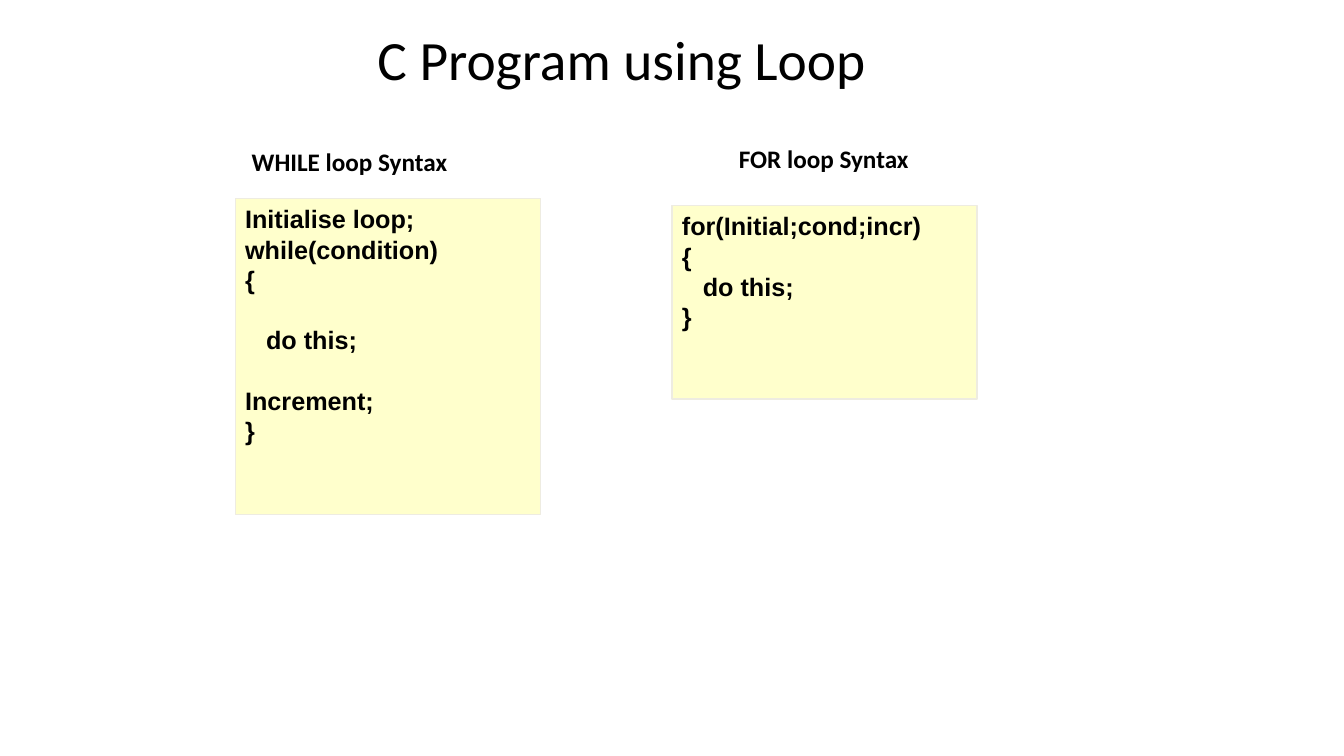
from pptx import Presentation
from pptx.dml.color import RGBColor
from pptx.enum.shapes import MSO_SHAPE
from pptx.enum.text import MSO_ANCHOR, PP_ALIGN
from pptx.util import Pt


def colour(hex_string):
    return RGBColor.from_string(hex_string)


class LoopSlide:
    """Style of the slide and one method for each kind of element."""
    INK, PANEL, EDGE = "000000", "FFFFCC", "EEECE1"
    HEADING_FONT, CODE_FONT = "Calibri", "Arial"
    TEXT_SIZE, TITLE_SIZE = 18, 39.6
    LINE_PITCH = 21.5

    def __init__(self, deck):
        self.slide = deck.slides.add_slide(deck.slide_layouts[5])

    def add_words(self, paragraph, words, font, size, bold=True):
        run = paragraph.add_run()
        run.text = words
        run.font.name = font
        run.font.size = Pt(size)
        run.font.bold = bold
        run.font.color.rgb = colour(self.INK)

    def frame(self, shape, side, edge, anchor=MSO_ANCHOR.TOP):
        text = shape.text_frame
        text.word_wrap = True
        text.vertical_anchor = anchor
        text.margin_left = text.margin_right = Pt(side)
        text.margin_top = text.margin_bottom = Pt(edge)
        return text

    def indent(self, paragraph, left):
        properties = paragraph._p.get_or_add_pPr()
        properties.set("marL", str(Pt(left)))
        properties.set("indent", "0")

    def title(self, words, left, top, width, height):
        heading = self.slide.shapes.title
        heading.left, heading.top = Pt(left), Pt(top)
        heading.width, heading.height = Pt(width), Pt(height)
        paragraph = self.frame(heading, 7.2, 3.6, MSO_ANCHOR.MIDDLE).paragraphs[0]
        paragraph.alignment = PP_ALIGN.CENTER
        self.add_words(paragraph, words, self.HEADING_FONT, self.TITLE_SIZE, False)

    def label(self, words, left, top, width, height=44):
        caption = self.slide.shapes.add_textbox(
            Pt(left), Pt(top), Pt(width), Pt(height))
        text = self.frame(caption, 7.2, 10.8)
        text.margin_right = 0
        self.indent(text.paragraphs[0], 18.72)
        self.add_words(text.paragraphs[0], words, self.HEADING_FONT, self.TEXT_SIZE)

    def code(self, lines, left, top, height, width=218):
        """Each line is (words, left indent, lines of space before)."""
        panel = self.slide.shapes.add_shape(
            MSO_SHAPE.RECTANGLE, Pt(left), Pt(top), Pt(width), Pt(height))
        panel.shadow.inherit = False
        panel.fill.solid()
        panel.fill.fore_color.rgb = colour(self.PANEL)
        panel.line.color.rgb = colour(self.EDGE)
        panel.line.width = Pt(1)
        text = self.frame(panel, 7.2, 3.6)
        for number, (words, left_indent, gap) in enumerate(lines):
            paragraph = text.add_paragraph() if number else text.paragraphs[0]
            paragraph.alignment = PP_ALIGN.LEFT
            paragraph.space_before = Pt(gap * self.LINE_PITCH)
            self.indent(paragraph, left_indent)
            self.add_words(paragraph, words, self.CODE_FONT, self.TEXT_SIZE)


def main():
    deck = Presentation()
    deck.slide_width, deck.slide_height = Pt(960), Pt(540)
    page = LoopSlide(deck)

    # Title
    page.title("C Program using Loop", 120, 14.4, 648, 54)

    # While loop
    page.code([("Initialise loop;", 0, 0), ("while(condition)", 0, 0),
               ("{", 0, 0), ("do this;", 15, 1),
               ("Increment;", 0, 1), ("}", 0, 0)], 168, 142, 225.5)
    page.label("WHILE loop Syntax", 154, 93.6, 204.5)

    # For loop
    page.label("FOR loop Syntax", 502, 91.4, 155.5)
    page.code([("for(Initial;cond;incr)", 0, 0), ("{", 0, 0),
               ("do this;", 15, 0), ("}", 0, 0)], 480, 147, 138)

    deck.save("out.pptx")


if __name__ == "__main__":
    main()
